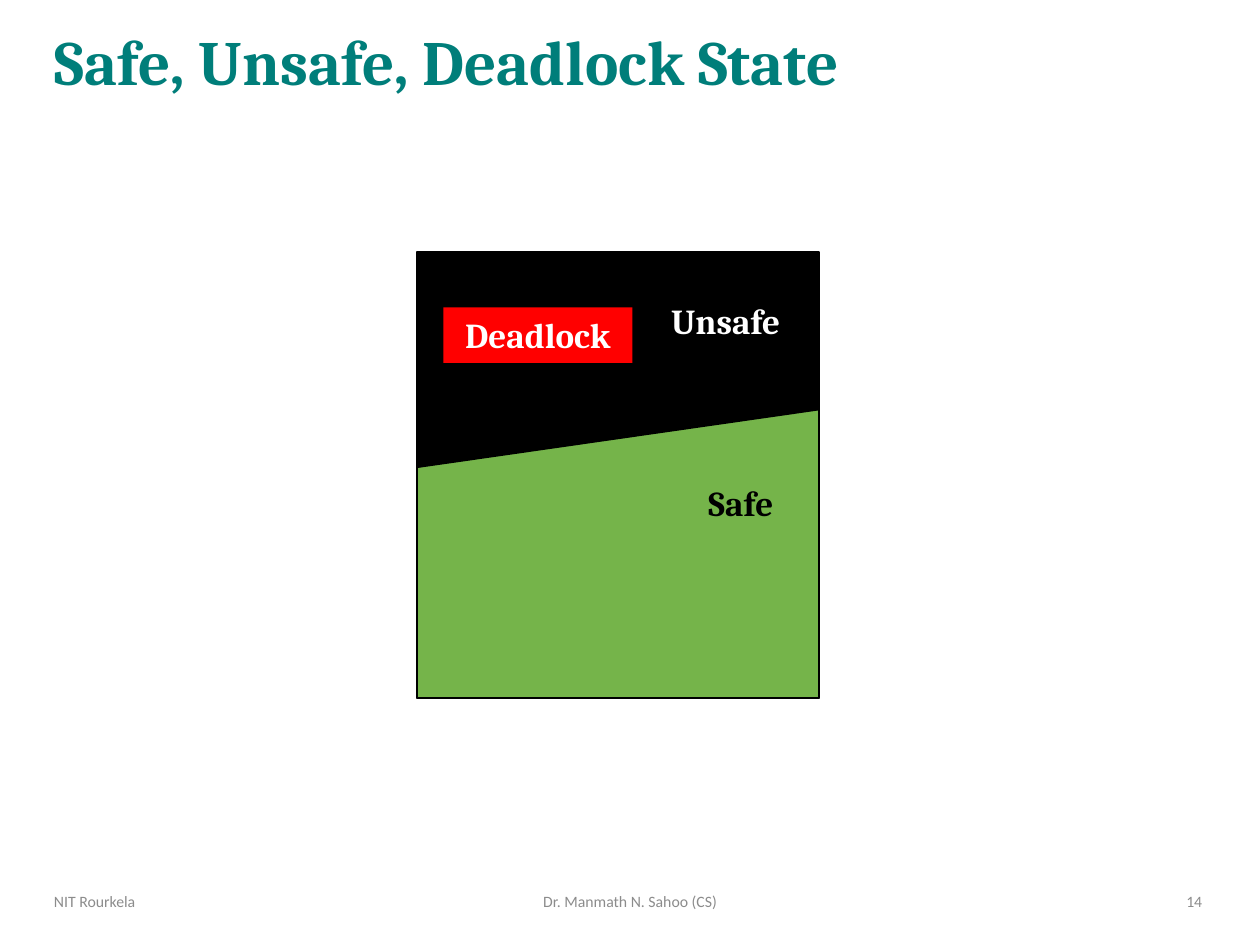
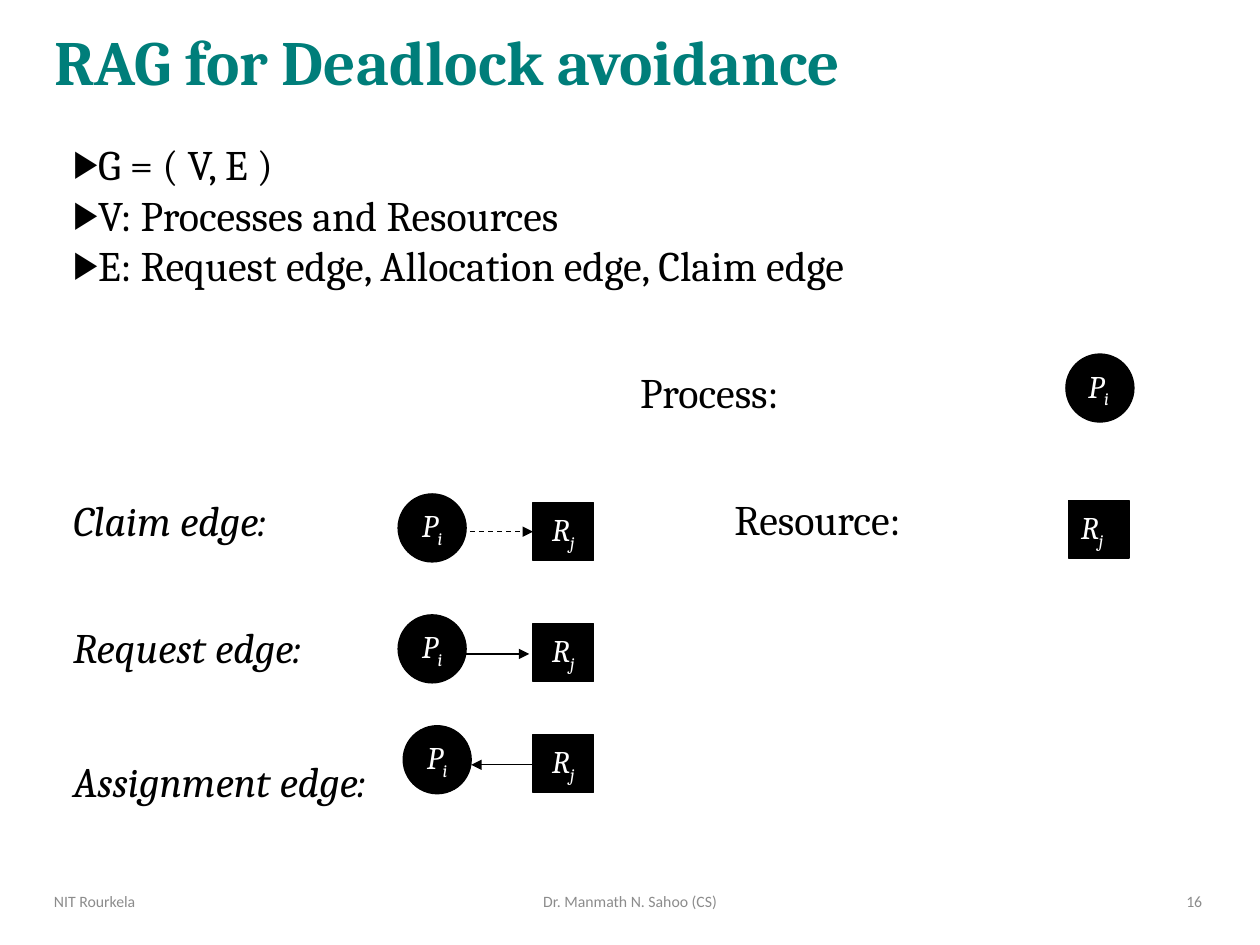
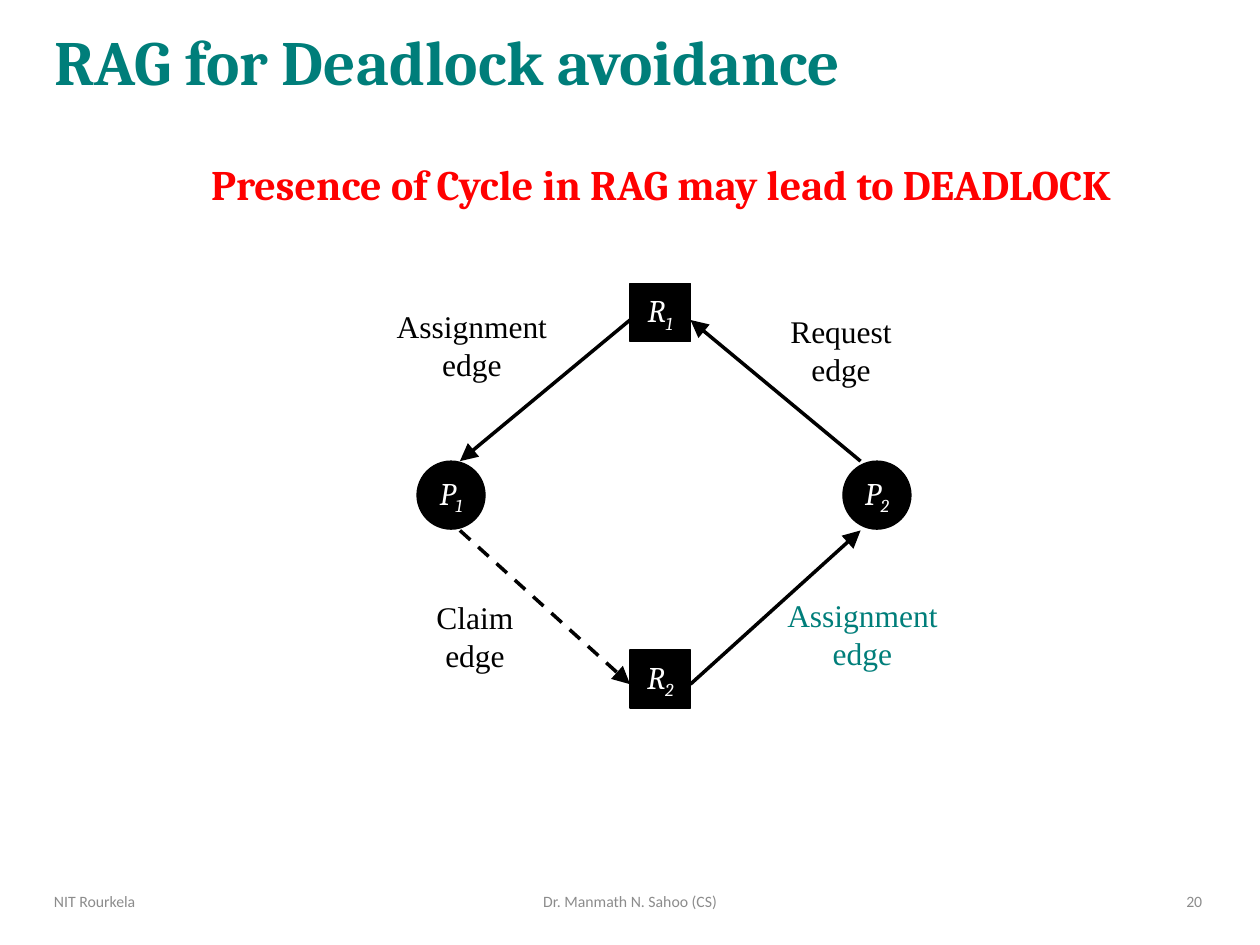
import pptx
import pptx.dml.color
import pptx.enum.dml
import pptx.enum.shapes
import pptx.enum.text
import pptx.oxml.ns
import pptx.util
from lxml import etree

Inches = pptx.util.Inches
Pt = pptx.util.Pt
Align = pptx.enum.text.PP_ALIGN
Anchor = pptx.enum.text.MSO_ANCHOR
Fit = pptx.enum.text.MSO_AUTO_SIZE
Form = pptx.enum.shapes.MSO_SHAPE
Link = pptx.enum.shapes.MSO_CONNECTOR
Dash = pptx.enum.dml.MSO_LINE

HUE = {"teal": "007E7A", "black": "000000", "white": "FFFFFF",
       "green": "75B44A", "red": "FF0000", "gray": "8C8C8C"}
BALL, BOX_W, BOX_H = 0.54, 0.48, 0.46


def shade(name):
    """Return the named colour."""
    return pptx.dml.color.RGBColor.from_string(HUE[name])


def child(node, tag, **attrs):
    """Append a DrawingML element to a node."""
    item = etree.SubElement(node, pptx.oxml.ns.qn("a:" + tag))
    for key, value in attrs.items():
        item.set(key, value)


def write(para, text, size=18, hue="black", face="Cambria",
          bold=False, ital=False, align=None, sub=False):
    """Add one formatted run to a paragraph."""
    if align is not None:
        para.alignment = align
    run = para.add_run()
    run.text = text
    font = run.font
    font.size, font.name = Pt(size), face
    font.bold, font.italic = bold, ital
    font.color.rgb = shade(hue)
    if sub:
        font._element.set("baseline", "-25000")


def place(shape, left, top, width, height):
    """Move and size a shape in inches."""
    shape.left, shape.top = Inches(left), Inches(top)
    shape.width, shape.height = Inches(width), Inches(height)


def label(slide, text, box, wrap=True, anchor=Anchor.TOP, **style):
    """Add a text box with one paragraph for each line of text."""
    frame = slide.shapes.add_textbox(*map(Inches, box)).text_frame
    frame.word_wrap = wrap
    frame.vertical_anchor = anchor
    for num, line in enumerate(text.split("\n")):
        para = frame.add_paragraph() if num else frame.paragraphs[0]
        write(para, line, **style)


def start(deck, layout, title, page):
    """Add a slide with its title and footers."""
    slide = deck.slides.add_slide(deck.slide_layouts[layout])
    head = slide.shapes.title
    place(head, 0.33, 0.04, 9.3, 0.96)
    frame = head.text_frame
    frame.auto_size = Fit.NONE
    frame.vertical_anchor = Anchor.MIDDLE
    para = frame.paragraphs[0]
    para.line_spacing = 0.9
    write(para, title, size=36, hue="teal", bold=True, align=Align.LEFT)
    for text, left, width, align in (
            ("NIT Rourkela", 0.33, 2.6, Align.LEFT),
            ("Dr. Manmath N. Sahoo (CS)", 3.31, 3.38, Align.CENTER),
            (str(page), 7.27, 2.37, Align.RIGHT)):
        label(slide, text, (left, 6.95, width, 0.4), anchor=Anchor.MIDDLE,
              size=9, hue="gray", face="Calibri", align=align)
    return slide


def block(slide, form, box, fill, line=None):
    """Add a filled shape with an optional line width."""
    shape = slide.shapes.add_shape(form, *map(Inches, box))
    shape.shadow.inherit = False
    shape.fill.solid()
    shape.fill.fore_color.rgb = shade(fill)
    if line:
        shape.line.color.rgb = shade("black")
        shape.line.width = Pt(line)
    else:
        shape.line.fill.background()
    return shape


def node(slide, name, left, top, align=Align.CENTER):
    """Add a process ball or a resource box, named by letter and index."""
    ball = name[0] == "P"
    form, size = ((Form.OVAL, (BALL, BALL)) if ball
                  else (Form.RECTANGLE, (BOX_W, BOX_H)))
    frame = block(slide, form, (left, top, *size), "black", 0.75).text_frame
    frame.word_wrap = False
    frame.vertical_anchor = Anchor.MIDDLE
    para = frame.paragraphs[0]
    write(para, name[0], hue="white", ital=True, align=align)
    write(para, name[1], hue="white", ital=True, sub=True)


def arrow(slide, tail, tip, width, dash=False, head="med"):
    """Draw an arrow from tail to tip."""
    edge = slide.shapes.add_connector(
        Link.STRAIGHT, *map(Inches, (*tail, *tip)))
    edge.line.color.rgb = shade("black")
    edge.line.width = Pt(width)
    if dash:
        edge.line.dash_style = Dash.DASH
    child(edge.line._get_or_add_ln(), "tailEnd",
          type="triangle", w=head, len=head)
    child(edge._element.spPr, "effectLst")


def row(frame, first=False, bullet=False, margin=0.0, gap=0):
    """Add a body paragraph with its bullet, indent and gap."""
    para = frame.paragraphs[0] if first else frame.add_paragraph()
    props = para._p.get_or_add_pPr()
    props.set("marL", str(Inches(margin)))
    props.set("indent", str(-Inches(margin) if bullet else 0))
    para.space_before = Pt(gap)
    if bullet:
        child(props, "buSzPct", val="90000")
        child(props, "buChar", char="▶")
    else:
        child(props, "buNone")
    return para


def states(deck):
    """Build the slide on safe and unsafe states."""
    slide = start(deck, 5, "Safe, Unsafe, Deadlock State", 14)
    block(slide, Form.RECTANGLE, (3.31, 2, 3.19, 3.54), "black", 1)
    block(slide, Form.FLOWCHART_MANUAL_INPUT, (3.31, 3.25, 3.19, 2.29),
          "green", 1)
    block(slide, Form.RECTANGLE, (3.52, 2.44, 1.5, 0.44), "red")
    for text, left, top, width, hue in (
            ("Safe", 5.44, 3.77, 0.88, "black"),
            ("Deadlock", 3.52, 2.44, 1.5, "white"),
            ("Unsafe", 5.21, 2.33, 1.1, "white")):
        label(slide, text, (left, top, width, 0.44), size=20, hue=hue,
              bold=True, align=Align.CENTER)


def legend(deck):
    """Build the slide on the parts of the graph."""
    slide = start(deck, 1, "RAG for Deadlock avoidance", 16)
    body = slide.placeholders[1]
    place(body, 0.48, 1.05, 9.16, 5.9)
    frame = body.text_frame
    frame.auto_size = Fit.NONE
    for num, text in enumerate((
            "G = ( V, E )", "V: Processes and Resources",
            "E: Request edge, Allocation edge, Claim edge")):
        write(row(frame, first=not num, bullet=True, margin=0.19),
              text, size=24)
    write(row(frame, margin=4.5, gap=44), "Process:", size=24)
    for text, gap in (("Claim edge:", 44), ("Request edge:", 44),
                      ("Assignment edge:", 48)):
        write(row(frame, gap=gap), text, size=24, ital=True)
    label(slide, "Resource:", (5.73, 3.87, 1.8, 0.5), size=24)
    node(slide, "Pi", 8.46, 2.81, Align.LEFT)
    node(slide, "Rj", 8.48, 3.97, Align.LEFT)
    for left, top in ((3.16, 3.92), (3.16, 4.88), (3.2, 5.76)):
        node(slide, "Pi", left, top)
        node(slide, "Rj", 4.23, top + 0.07)
    arrow(slide, (3.73, 4.22), (4.23, 4.22), 0.75, dash=True)
    arrow(slide, (3.7, 5.19), (4.2, 5.19), 0.75)
    arrow(slide, (4.24, 6.07), (3.74, 6.07), 0.75)


def cycle(deck):
    """Build the slide on a cycle in the graph."""
    slide = start(deck, 5, "RAG for Deadlock avoidance", 20)
    for name, left, top in (("P1", 3.31, 3.66), ("P2", 6.69, 3.66),
                            ("R1", 5, 2.25), ("R2", 5, 5.16)):
        node(slide, name, left, top)
    for tail, tip, dash in (((6.83, 3.66), (5.48, 2.54), False),
                            ((5, 2.54), (3.65, 3.66), False),
                            ((3.65, 4.21), (5, 5.43), True),
                            ((5.48, 5.43), (6.83, 4.21), False)):
        arrow(slide, tail, tip, 2, dash=dash, head="lg")
    for kind, left, top, width, hue in (
            ("Assignment", 2.85, 2.39, 1.79, "black"),
            ("Request", 6.04, 2.43, 1.27, "black"),
            ("Claim", 3.29, 4.7, 0.96, "black"),
            ("Assignment", 5.95, 4.68, 1.79, "teal")):
        label(slide, kind + "\nedge", (left, top, width, 0.85), wrap=False,
              hue=hue, face="Times New Roman", align=Align.CENTER)
    label(slide, "Presence of Cycle in RAG may lead to DEADLOCK",
          (1.21, 1.21, 8.07, 0.5), size=24, hue="red", bold=True,
          align=Align.CENTER)


def main():
    """Build and save the deck."""
    deck = pptx.Presentation()
    deck.slide_width, deck.slide_height = Inches(10), Inches(7.5)
    states(deck)
    legend(deck)
    cycle(deck)
    deck.save("out.pptx")


if __name__ == "__main__":
    main()
